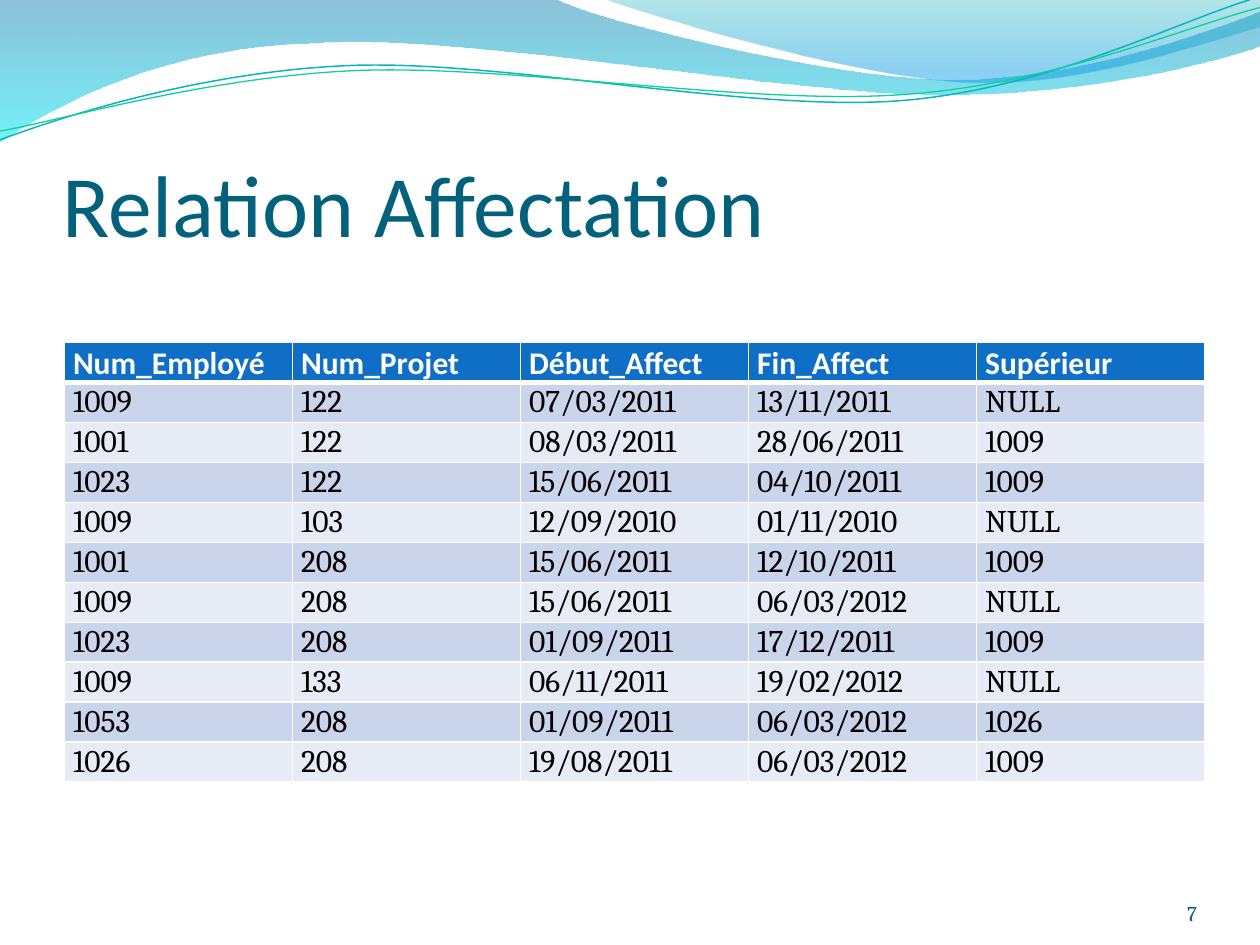
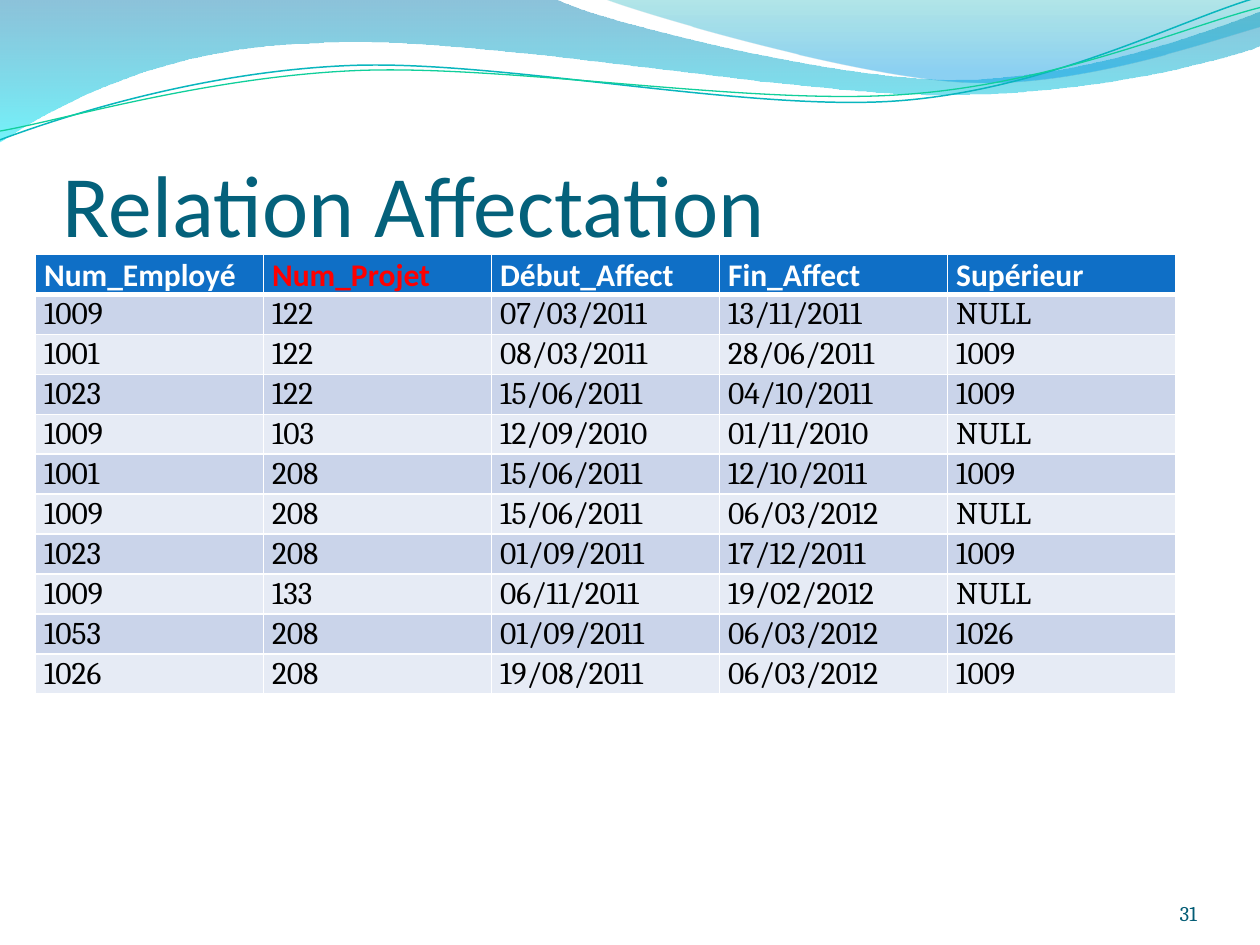
from dataclasses import dataclass
from math import cos, radians, sin

from lxml.etree import SubElement
from pptx import Presentation
from pptx.dml.color import RGBColor
from pptx.enum.text import MSO_ANCHOR, PP_ALIGN
from pptx.oxml.ns import qn
from pptx.util import Inches, Pt


@dataclass(frozen=True)
class Theme:
    heading_font: str = "Calibri"
    body_font: str = "Cambria"
    title: str = "04617B"
    number: str = "035C75"
    header: str = "0F6FC6"
    bands: tuple = ("CAD4EA", "E6EBF5")
    white: str = "FFFFFF"
    black: str = "000000"
    highlight: str = "FF0000"
    teal: str = "09B6BE"
    green: str = "10CF9B"
    title_size: int = 50
    table_size: int = 18
    number_size: int = 12
    # Gradient stops: position %, colour, opacity %
    left_wave: tuple = ((0, "0079AD", 45), (100, "00E9F7", 55))
    right_wave: tuple = ((0, "00ABB4", 30), (80, "0099E4", 45), (100, "0099E4", 45))


# Outlines in inches: a pair is a line end, six numbers are a Bezier curve
LEFT_WAVE = [
    (0, 0), (4.4, -0.01),
    (4.76, 0.17, 6.64, 0.63, 7.58, 0.63), (8.53, 0.63, 9.58, 0.26, 10, 0.09),
    (10.01, 0.36),
    (9.83, 0.44, 8.7, 0.76, 7.46, 0.75), (6.22, 0.75, 3.82, 0.28, 2.57, 0.34),
    (1.29, 0.36, 0.46, 0.83, -0.01, 1.13), (0, 0),
]
RIGHT_WAVE = [
    (4.79, -0.01),
    (5.09, 0.11, 6.82, 0.62, 7.69, 0.65), (8.56, 0.69, 9.61, 0.32, 10, 0.21),
    (10, 0), (4.79, -0.01),
]
TEAL_LINE = [
    (0, 1.11),
    (0.48, 0.93, 1.58, 0.57, 2.77, 0.52), (3.95, 0.47, 5.93, 0.89, 7.13, 0.8),
    (8.33, 0.71, 9.38, 0.15, 9.98, -0.02),
]
GREEN_LINE = [
    (0, 1.04),
    (0.47, 0.96, 1.64, 0.61, 2.83, 0.56), (4.03, 0.51, 5.97, 0.84, 7.17, 0.75),
    (8.36, 0.67, 9.41, 0.21, 10, 0.06),
]
LINE_CENTER = (4.99, 0.58)
LINE_TILT = -2.7

ASSIGNMENTS = [
    ("Num_Employé", "Num_Projet", "Début_Affect", "Fin_Affect", "Supérieur"),
    ("1009", "122", "07/03/2011", "13/11/2011", "NULL"),
    ("1001", "122", "08/03/2011", "28/06/2011", "1009"),
    ("1023", "122", "15/06/2011", "04/10/2011", "1009"),
    ("1009", "103", "12/09/2010", "01/11/2010", "NULL"),
    ("1001", "208", "15/06/2011", "12/10/2011", "1009"),
    ("1009", "208", "15/06/2011", "06/03/2012", "NULL"),
    ("1023", "208", "01/09/2011", "17/12/2011", "1009"),
    ("1009", "133", "06/11/2011", "19/02/2012", "NULL"),
    ("1053", "208", "01/09/2011", "06/03/2012", "1026"),
    ("1026", "208", "19/08/2011", "06/03/2012", "1009"),
]


def turn(x, y, degrees):
    """Turn a point clockwise about the centre of the wave lines."""
    cx, cy = LINE_CENTER
    a = radians(degrees)
    return (cx + (x - cx) * cos(a) - (y - cy) * sin(a),
            cy + (x - cx) * sin(a) + (y - cy) * cos(a))


def apply(target, formats):
    for name, value in formats.items():
        setattr(target, name, value)


class Deck:
    def __init__(self, theme):
        self.theme = theme
        self.prs = Presentation()
        self.prs.slide_width, self.prs.slide_height = Inches(10), Inches(7.5)
        self.s = None

    def slide(self, title, number):
        th = self.theme
        self.s = self.prs.slides.add_slide(self.prs.slide_layouts[6])
        # Wave band
        self.wave(LEFT_WAVE, th.left_wave)
        self.wave(RIGHT_WAVE, th.right_wave)
        self.curve(TEAL_LINE, th.teal, 0.85)
        self.curve(GREEN_LINE, th.green, 0.75)
        # Title and slide number
        self.text(title, (0.5, 0.77, 9, 1.25), th.heading_font, th.title_size,
                  th.title, top=0.05)
        self.text(number, (8.67, 6.95, 0.83, 0.4), th.body_font, th.number_size,
                  th.number, align=PP_ALIGN.RIGHT)

    def outline(self, outline, close, tilt=0):
        points = [turn(*part[i:i + 2], -tilt)
                  for part in outline for i in range(0, len(part), 2)]
        points = [(Inches(x), Inches(y)) for x, y in points]
        fb = self.s.shapes.build_freeform(*points[0])
        fb.add_line_segments(points[1:], close=close)
        sp = fb.convert_to_shape()
        sp.shadow.inherit = False
        sp.rotation = tilt
        # Join each three points of a curve into one Bezier segment
        geometry = next(sp._element.iter(qn("a:path")))
        ends = iter(geometry.findall(qn("a:lnTo")))
        for part in outline[1:]:
            first = next(ends)
            if len(part) == 6:
                bezier = SubElement(geometry, qn("a:cubicBezTo"))
                first.addprevious(bezier)
                for end in (first, next(ends), next(ends)):
                    bezier.append(end[0])
                    geometry.remove(end)
        return sp

    def wave(self, outline, stops):
        sp = self.outline(outline, close=True)
        sp.line.fill.background()
        sp.fill.gradient()
        sp.fill.gradient_angle = 270
        gs_list = sp._element.spPr.find(qn("a:gradFill")).find(qn("a:gsLst"))
        gs_list.clear()
        for position, color, opacity in stops:
            gs = SubElement(gs_list, qn("a:gs"), pos=str(position * 1000))
            clr = SubElement(gs, qn("a:srgbClr"), val=color)
            SubElement(clr, qn("a:alpha"), val=str(opacity * 1000))

    def curve(self, outline, color, width):
        sp = self.outline(outline, close=False, tilt=LINE_TILT)
        sp.fill.background()
        sp.line.color.rgb = RGBColor.from_string(color)
        sp.line.width = Pt(width)

    def run(self, p, text, font, size, color, bold=False):
        r = p.add_run()
        r.text = text
        apply(r.font, {"name": font, "size": Pt(size), "bold": bold})
        r.font.color.rgb = RGBColor.from_string(color)

    def text(self, text, box, font, size, color, align=PP_ALIGN.LEFT, top=0):
        tf = self.s.shapes.add_textbox(*map(Inches, box)).text_frame
        apply(tf, {"word_wrap": True, "vertical_anchor": MSO_ANCHOR.BOTTOM,
                   "margin_left": 0, "margin_top": Inches(top),
                   "margin_right": 0, "margin_bottom": 0})
        p = tf.paragraphs[0]
        p.alignment = align
        self.run(p, text, font, size, color)

    def borders(self, cell, widths):
        tc_pr = cell._tc.get_or_add_tcPr()
        for side, width in zip("LRTB", widths):
            ln = SubElement(tc_pr, qn(f"a:ln{side}"), w=str(Pt(width)))
            fill = SubElement(ln, qn("a:solidFill"))
            SubElement(fill, qn("a:srgbClr"), val=self.theme.white)

    def table(self, rows, left, top, highlighted=None):
        th = self.theme
        table = self.s.shapes.add_table(
            len(rows), len(rows[0]), Inches(left), Inches(top),
            Inches(9.05), Inches(3.47)).table
        for column in table.columns:
            column.width = Inches(1.81)
        for row in table.rows:
            row.height = Inches(3.17) // (len(rows) - 1)
        table.rows[len(rows) - 1].height = Inches(0.3)

        for i, values in enumerate(rows):
            is_header = i == 0
            fill = th.header if is_header else th.bands[(i - 1) % 2]
            for j, value in enumerate(values):
                cell = table.cell(i, j)
                # A thick rule parts the header from the rows
                self.borders(cell, (1, 1, 3 if i == 1 else 1, 3 if is_header else 1))
                cell.fill.solid()
                cell.fill.fore_color.rgb = RGBColor.from_string(fill)
                apply(cell, {"margin_left": Inches(0.07), "margin_right": Inches(0.07),
                             "margin_top": 0, "margin_bottom": 0})
                p = cell.text_frame.paragraphs[0]
                p.line_spacing = 1.05
                color = th.white if is_header else th.black
                if is_header and value == highlighted:
                    color = th.highlight
                font = th.heading_font if is_header else th.body_font
                self.run(p, value, font, th.table_size, color, is_header)


def main():
    deck = Deck(Theme())

    # Assignment relation
    deck.slide("Relation Affectation", "7")
    deck.table(ASSIGNMENTS, 0.51, 2.72)

    # Same relation with the project key highlighted
    deck.slide("Relation Affectation", "31")
    deck.table(ASSIGNMENTS, 0.28, 2.02, highlighted="Num_Projet")

    deck.prs.save("out.pptx")


if __name__ == "__main__":
    main()
